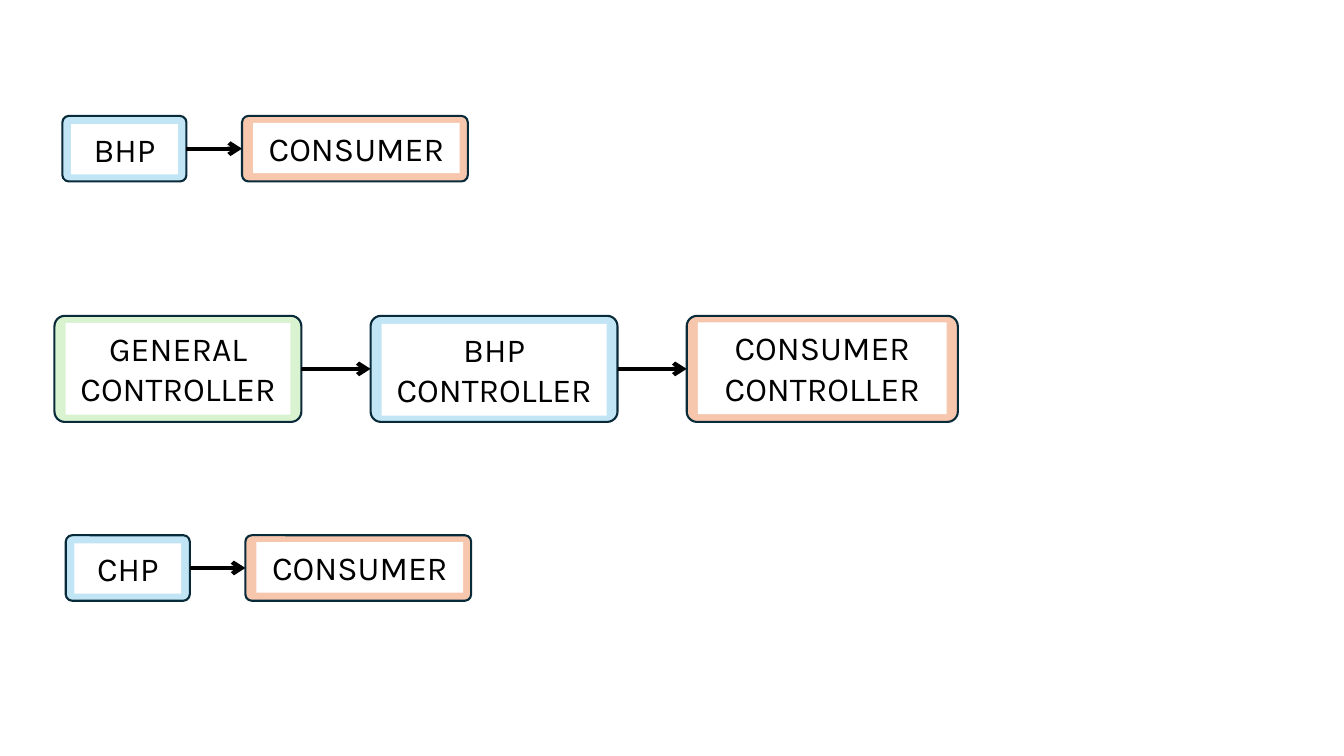
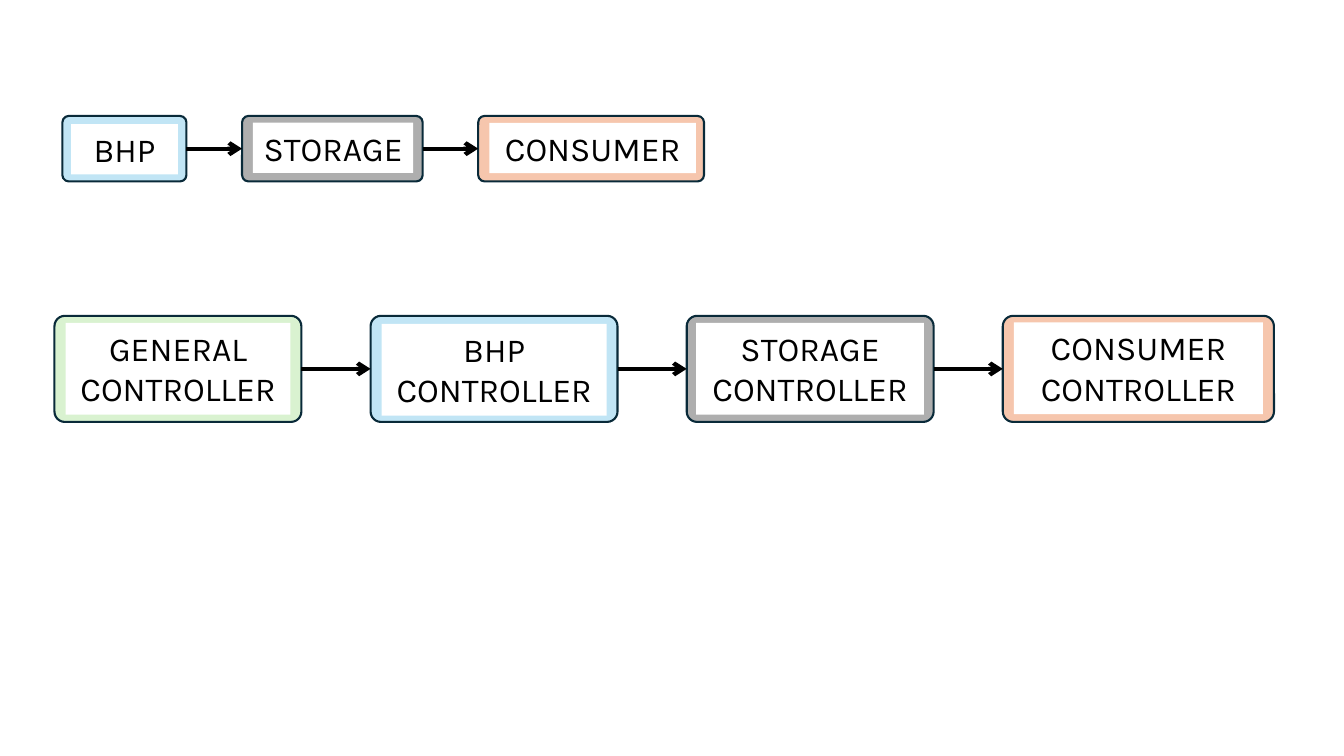
from itertools import pairwise
from typing import NamedTuple

from pptx import Presentation
from pptx.dml.color import RGBColor
from pptx.enum.shapes import MSO_CONNECTOR as Connector, MSO_SHAPE as Shape
from pptx.enum.text import MSO_ANCHOR as Anchor, MSO_AUTO_SIZE as AutoSize, PP_ALIGN as Align
from pptx.oxml.ns import qn
from pptx.util import Pt
from lxml.etree import SubElement

COLORS = {
    "producer": "C1E5F5",
    "consumer": "F6C6AD",
    "storage": "AEAEAE",
    "general": "D9F2D0",
    "outline": "092A39",
    "label": "FFFFFF",
    "ink": "000000",
}
LABEL_FRAME = {
    "word_wrap": True,
    "auto_size": AutoSize.SHAPE_TO_FIT_TEXT,
    "vertical_anchor": Anchor.TOP,
    "margin_left": 0,
    "margin_right": 0,
}
LABEL_FONT = {"name": "Karla", "size": Pt(24)}
CORNER = 0.098


class Node(NamedTuple):
    text: str
    role: str
    width: float
    label_left: float
    label_top: float
    label_width: float


class Row(NamedTuple):
    left: float
    top: float
    height: float
    label_height: float
    gap: float
    nodes: list


BHP = Node("BHP", "producer", 88.6, 6.2, 5.8, 76.3)
CHP = BHP._replace(text="CHP")
STORAGE = Node("STORAGE", "storage", 129, 7.8, 4.8, 114.5)
CONSUMER = Node("CONSUMER", "consumer", 161.3, 7.9, 5, 147.6)
GENERAL_CONTROLLER = Node("GENERAL\nCONTROLLER", "general", 176.4, 8, 5, 160.6)
BHP_CONTROLLER = Node("BHP\nCONTROLLER", "producer", 176.4, 8, 5.7, 160.6)
STORAGE_CONTROLLER = Node("STORAGE CONTROLLER", "storage", 176.4, 6.8, 5, 162.7)
CONSUMER_CONTROLLER = Node("CONSUMER\nCONTROLLER", "consumer", 193.7, 8, 4.7, 177.8)


def apply(target, values):
    for name, value in values.items():
        setattr(target, name, value)


def paint(target, color):
    target.solid()
    target.fore_color.rgb = RGBColor.from_string(COLORS[color])


def add_label(slide, node, left, top, height):
    label = slide.shapes.add_textbox(
        Pt(left + node.label_left), Pt(top + node.label_top), Pt(node.label_width), Pt(height)
    )
    paint(label.fill, "label")
    frame = label.text_frame
    frame.text = node.text
    apply(frame, LABEL_FRAME)
    for paragraph in frame.paragraphs:
        paragraph.alignment = Align.CENTER
        for run in paragraph.runs:
            apply(run.font, LABEL_FONT)
            run.font.color.rgb = RGBColor.from_string(COLORS["ink"])


def add_node(slide, node, left, row):
    box = slide.shapes.add_shape(
        Shape.ROUNDED_RECTANGLE, Pt(left), Pt(row.top), Pt(node.width), Pt(row.height)
    )
    box.adjustments[0] = CORNER
    box.shadow.inherit = False
    paint(box.fill, node.role)
    paint(box.line.fill, "outline")
    box.line.width = Pt(1.5)
    add_label(slide, node, left, row.top, row.label_height)
    return box


def add_arrow(slide, source, target):
    arrow = slide.shapes.add_connector(Connector.STRAIGHT, 0, 0, 0, 0)
    arrow.begin_connect(source, 3)
    arrow.end_connect(target, 1)
    paint(arrow.line.fill, "ink")
    arrow.line.width = Pt(3)
    SubElement(arrow.line._get_or_add_ln(), qn("a:tailEnd"), type="arrow")
    SubElement(arrow._element.spPr, qn("a:effectLst"))


def add_row(slide, row):
    boxes = []
    left = row.left
    for node in row.nodes:
        boxes.append(add_node(slide, node, left, row))
        left += node.width + row.gap
    for source, target in pairwise(boxes):
        add_arrow(slide, source, target)


def plant_row(nodes, left=44.6, top=82.8):
    return Row(left, top, 46.8, 36, 39.7, nodes)


def controller_row(nodes):
    return Row(38.9, 225.6, 75.8, 65.5, 49.4, nodes)


def main():
    deck = Presentation()
    apply(deck, {"slide_width": Pt(960), "slide_height": Pt(540)})
    slides = [
        [
            plant_row([BHP, CONSUMER]),
            controller_row([GENERAL_CONTROLLER, BHP_CONTROLLER, CONSUMER_CONTROLLER]),
            plant_row([CHP, CONSUMER], left=47, top=382.3),
        ],
        [
            plant_row([BHP, STORAGE, CONSUMER]),
            controller_row(
                [GENERAL_CONTROLLER, BHP_CONTROLLER, STORAGE_CONTROLLER, CONSUMER_CONTROLLER]
            ),
        ],
    ]
    for rows in slides:
        slide = deck.slides.add_slide(deck.slide_layouts[6])
        for row in rows:
            add_row(slide, row)
    deck.save("out.pptx")


if __name__ == "__main__":
    main()
